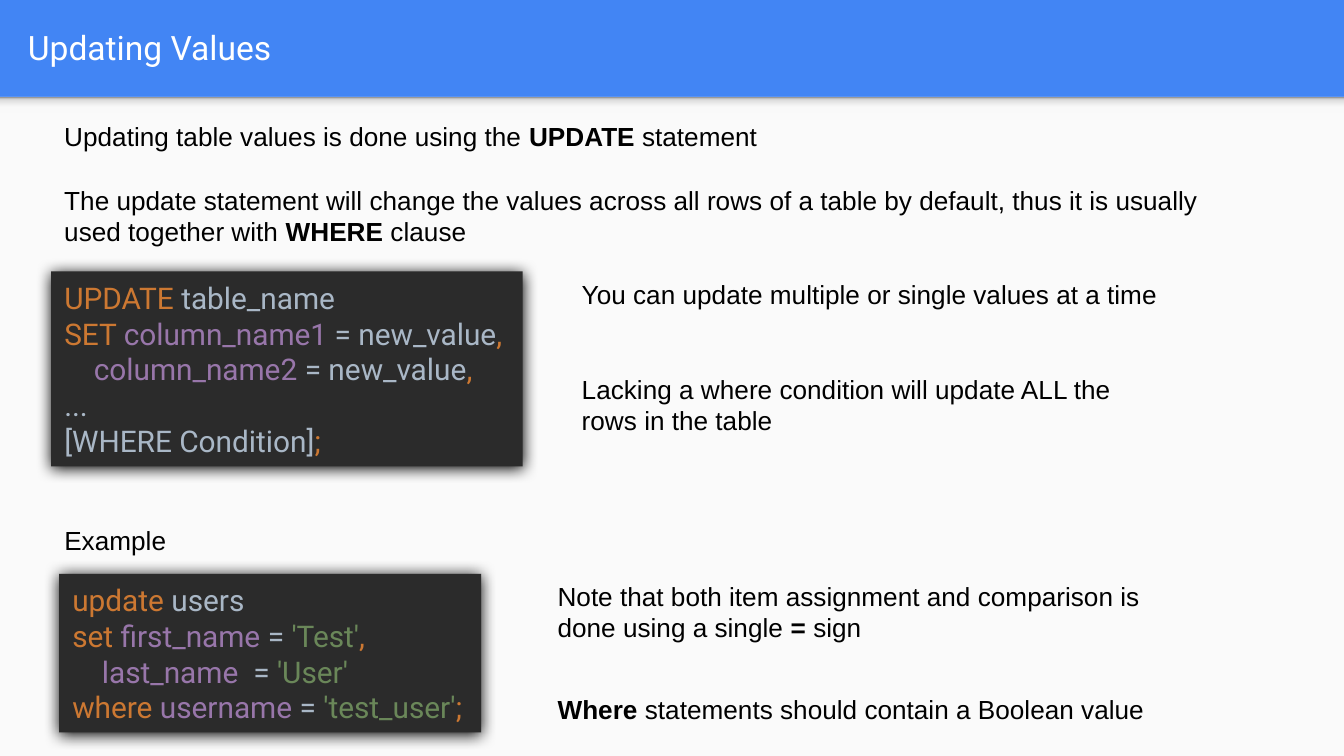
from dataclasses import dataclass
from lxml.etree import SubElement
from pptx import Presentation
from pptx.dml.color import RGBColor
from pptx.enum.shapes import MSO_SHAPE
from pptx.enum.text import MSO_ANCHOR, PP_ALIGN
from pptx.oxml.ns import qn
from pptx.util import Inches, Pt


@dataclass(frozen=True)
class Theme:
    """Colours, fonts and type sizes of the slide."""
    blue: str = "4285F4"
    paper: str = "FAFAFA"
    white: str = "FFFFFF"
    black: str = "000000"
    panel: str = "2B2B2B"
    key: str = "CC7832"
    plain: str = "A9B7C6"
    name: str = "9876AA"
    text: str = "6A8759"
    fade: tuple = ((0, "F9F9F9"), (36, "F9F9F9"), (80, "DEDEDE"), (100, "999999"))
    sans: str = "Arial"
    mono: str = "Roboto"
    head: int = 18
    code: int = 16
    body: int = 14


THEME = Theme()
KEY, PLAIN, NAME, TEXT = THEME.key, THEME.plain, THEME.name, THEME.text


def add_rect(slide, box, color):
    """Add a plain filled rectangle without outline or shadow."""
    rect = slide.shapes.add_shape(MSO_SHAPE.RECTANGLE, *map(Inches, box))
    rect.shadow.inherit = False
    rect.fill.solid()
    rect.fill.fore_color.rgb = RGBColor.from_string(color)
    rect.line.fill.background()
    return rect


def add_run(para, text, font, size, color, bold=False):
    """Append one formatted run to a paragraph."""
    run = para.add_run()
    run.text = text
    run.font.name = font
    run.font.size = Pt(size)
    run.font.bold = bold
    run.font.color.rgb = RGBColor.from_string(color)


def add_fade(slide, box):
    """Add the soft strip that darkens towards its top edge."""
    strip = add_rect(slide, box, THEME.paper)
    strip.fill.gradient()
    strip.fill.gradient_angle = 90
    stops = strip._element.spPr.find(".//" + qn("a:gsLst"))
    for stop in list(stops):
        stops.remove(stop)
    for spot, color in THEME.fade:
        stop = SubElement(stops, qn("a:gs"), pos=str(spot * 1000))
        SubElement(stop, qn("a:srgbClr"), val=color)


def add_glow(shape):
    """Give a shape a dark blurred shadow."""
    effects = shape._element.spPr.find(qn("a:effectLst"))
    shadow = SubElement(effects, qn("a:outerShdw"), blurRad=str(Pt(8.5)),
                        dist=str(Pt(1)), dir="5400000", algn="ctr", rotWithShape="0")
    SubElement(shadow, qn("a:srgbClr"), val=THEME.black)


def add_header(slide, box, title):
    """Place the title band, the page below it and the fade between them."""
    left, top, width, height = box
    page = slide.background.fill
    page.solid()
    page.fore_color.rgb = RGBColor.from_string(THEME.blue)
    add_rect(slide, (left, top + height, width, 4.91), THEME.paper)
    add_fade(slide, (left, top + height, width, 0.12))
    label = slide.shapes.add_textbox(
        *map(Inches, (left + 0.11, top + 0.02, width - 0.35, height - 0.06)))
    frame = label.text_frame
    frame.word_wrap = True
    frame.vertical_anchor = MSO_ANCHOR.MIDDLE
    add_run(frame.paragraphs[0], title, THEME.mono, THEME.head, THEME.white)


def add_note(slide, box, paras, gap=0):
    """Place body text, with every second part of a paragraph in bold."""
    frame = slide.shapes.add_textbox(*map(Inches, box)).text_frame
    frame.word_wrap = True
    for index, parts in enumerate(paras):
        para = frame.add_paragraph() if index else frame.paragraphs[0]
        para.space_before = Pt(gap if index else 0)
        for turn, part in enumerate(parts):
            if part:
                add_run(para, part, THEME.sans, THEME.body, THEME.black, turn % 2 == 1)


def add_code(slide, box, lines):
    """Place a dark code panel; each line is an indent and coloured parts."""
    panel = add_rect(slide, box, THEME.panel)
    add_glow(panel)
    frame = panel.text_frame
    frame.word_wrap = False
    frame.vertical_anchor = MSO_ANCHOR.MIDDLE
    for index, (indent, parts) in enumerate(lines):
        para = frame.add_paragraph() if index else frame.paragraphs[0]
        para.alignment = PP_ALIGN.LEFT
        if indent:
            props = para._p.get_or_add_pPr()
            props.set("marL", str(Inches(indent)))
            props.set("indent", "0")
        for text, color in parts:
            add_run(para, text, THEME.mono, THEME.code, color)


def add_syntax(slide, box):
    """Place the general statement with its remarks."""
    left, top = box
    add_code(slide, (left, top, 3.51, 1.45), [
        (0, [("UPDATE ", KEY), ("table_name", PLAIN)]),
        (0, [("SET ", KEY), ("column_name1 ", NAME), ("= new_value", PLAIN), (",", KEY)]),
        (0.22, [("column_name2 ", NAME), ("= new_value", PLAIN), (",", KEY)]),
        (0, [("...", PLAIN)]),
        (0, [("[WHERE Condition]", PLAIN), (";", KEY)]),
    ])
    add_note(slide, (left + 3.85, top, 4.59, 1.28), [
        ["You can update multiple or single values at a time"],
        ["Lacking a where condition will update ALL the rows in the table"],
    ], gap=34)


def add_sample(slide, box):
    """Place the worked example with its heading and remarks."""
    left, top = box
    add_note(slide, (left, top, 3.01, 0.34), [["Example"]])
    add_code(slide, (left + 0.06, top + 0.42, 3.14, 1.18), [
        (0, [("update ", KEY), ("users", PLAIN)]),
        (0, [("set ", KEY), ("first_name ", NAME), ("= ", PLAIN), ("'Test'", TEXT), (",", KEY)]),
        (0.22, [("last_name  ", NAME), ("= ", PLAIN), ("'User'", TEXT)]),
        (0, [("where ", KEY), ("username ", NAME), ("= ", PLAIN),
             ("'test_user'", TEXT), (";", KEY)]),
    ])
    add_note(slide, (left + 3.67, top + 0.42, 4.98, 0.57), [
        ["Note that both item assignment and comparison is done using a single ", "= ", "sign"]])
    add_note(slide, (left + 3.67, top + 1.26, 5.21, 0.34), [
        ["", "Where ", "statements should contain a Boolean value"]])


def main():
    """Build the slide and save it."""
    deck = Presentation()
    deck.slide_width = Inches(10)
    deck.slide_height = deck.slide_width * 9 // 16
    slide = deck.slides.add_slide(deck.slide_layouts[6])
    add_header(slide, (0, 0, 10, 0.72), "Updating Values")
    add_note(slide, (0.38, 0.85, 8.66, 1.04), [
        ["Updating table values is done using the ", "UPDATE ", "statement"],
        ["The update statement will change the values across all rows of a table by default, "
         "thus it is usually used together with ", "WHERE", " clause"],
    ], gap=17)
    add_syntax(slide, (0.38, 2.02))
    add_sample(slide, (0.38, 3.85))
    deck.save("out.pptx")


if __name__ == "__main__":
    main()
